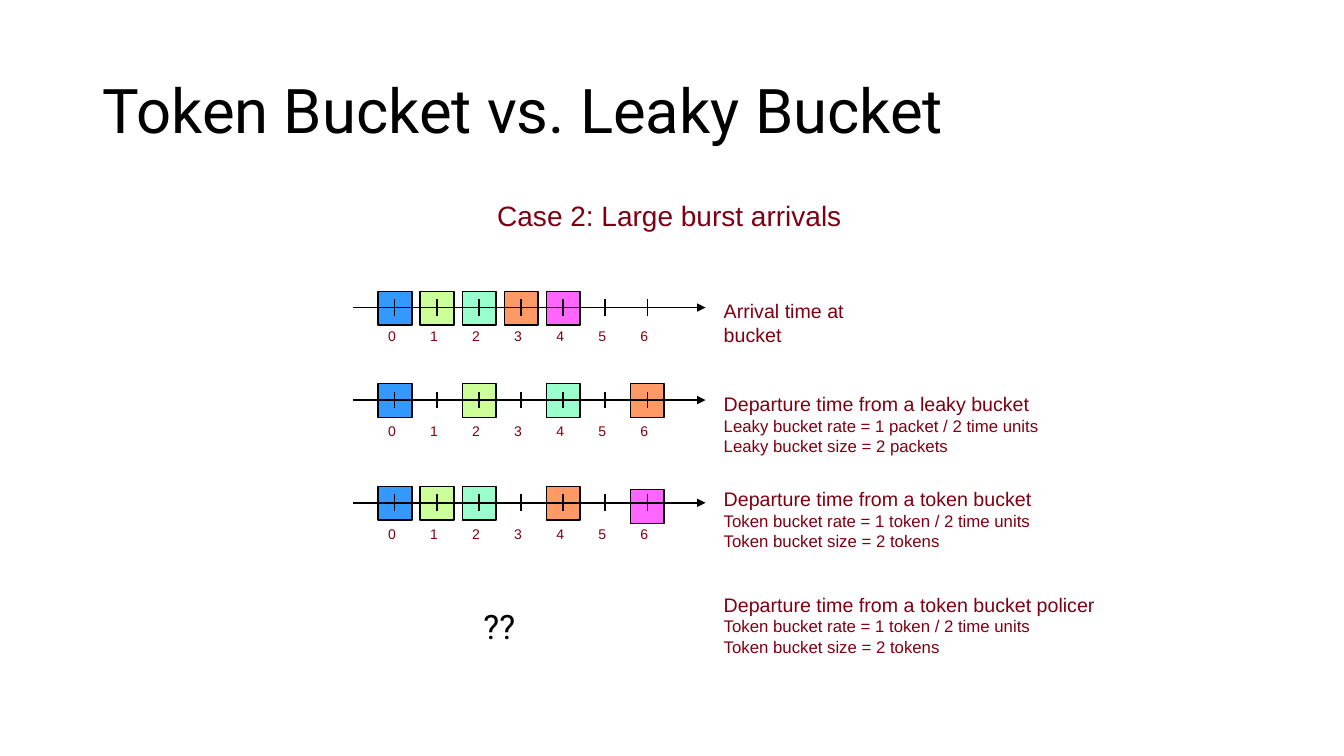
"""Build the slide that compares token bucket and leaky bucket departures."""
from dataclasses import dataclass

from lxml.etree import SubElement
from pptx import Presentation
from pptx.dml.color import RGBColor
from pptx.enum.shapes import MSO_CONNECTOR, MSO_SHAPE
from pptx.enum.text import MSO_ANCHOR, MSO_AUTO_SIZE, PP_ALIGN
from pptx.oxml.ns import qn
from pptx.slide import Slide
from pptx.text.text import TextFrame
from pptx.util import Cm, Pt

BLACK = RGBColor(0x00, 0x00, 0x00)
MAROON = RGBColor(0x7D, 0x00, 0x13)
BLUE = RGBColor(0x33, 0x99, 0xFF)
LIME = RGBColor(0xCC, 0xFF, 0x99)
MINT = RGBColor(0x99, 0xFF, 0xCC)
ORANGE = RGBColor(0xFF, 0x99, 0x66)
MAGENTA = RGBColor(0xFF, 0x66, 0xFF)

AXIS_LEFT, AXIS_RIGHT = 8.89, 17.78
FIRST_TICK, TICK_STEP, TICK_COUNT = 9.95, 1.06, 7
TICK_HALF = 0.21
PACKET_SIZE, PACKET_RISE = 0.85, 0.41
UNIT_LEFT = 9.53
NOTE_LEFT = 17.99


@dataclass(frozen=True)
class Packet:
    """A packet at a time unit, optionally shifted down."""
    time: int
    color: RGBColor
    drop: float = 0


@dataclass(frozen=True)
class Timeline:
    """A time axis with its packets and number row, in centimetres."""
    axis_y: float
    labels_y: float
    packets: tuple[Packet, ...]


@dataclass(frozen=True)
class Note:
    """A heading with detail lines beside a timeline."""
    top: float
    width: float
    height: float
    lines: tuple[str, ...]
    wrap: bool = False


TIMELINES = (
    Timeline(7.75, 8.13, (Packet(0, BLUE), Packet(1, LIME), Packet(2, MINT),
                          Packet(3, ORANGE), Packet(4, MAGENTA))),
    Timeline(10.08, 10.52, (Packet(0, BLUE), Packet(2, LIME),
                            Packet(4, MINT), Packet(6, ORANGE))),
    Timeline(12.67, 13.11, (Packet(0, BLUE), Packet(1, LIME), Packet(2, MINT),
                            Packet(4, ORANGE), Packet(6, MAGENTA, 0.08))),
)
TOKEN_DETAILS = ("Token bucket rate = 1 token / 2 time units",
                 "Token bucket size = 2 tokens")
NOTES = (
    Note(7.42, 4.9, 0.84, ("Arrival time at bucket",), wrap=True),
    Note(9.75, 8.53, 1.88, ("Departure time from a leaky bucket",
                            "Leaky bucket rate = 1 packet / 2 time units",
                            "Leaky bucket size = 2 packets")),
    Note(12.14, 8.31, 1.88,
         ("Departure time from a token bucket", *TOKEN_DETAILS)),
    Note(14.81, 10.8, 1.88,
         ("Departure time from a token bucket policer", *TOKEN_DETAILS),
         wrap=True),
)


def format_text(frame: TextFrame, size: float, font_name: str,
                color: RGBColor) -> None:
    """Give every paragraph the same font."""
    for paragraph in frame.paragraphs:
        font = paragraph.font
        font.size, font.name = Pt(size), font_name
        font.color.rgb = color


def add_text(slide: Slide, text: str, left: float, top: float, width: float,
             height: float, size: float, font_name: str = "Arial",
             color: RGBColor = MAROON, wrap: bool = False) -> TextFrame:
    """Add a formatted text box and return its frame."""
    box = slide.shapes.add_textbox(Cm(left), Cm(top), Cm(width), Cm(height))
    frame = box.text_frame
    frame.text = text
    frame.word_wrap = wrap
    frame.auto_size = MSO_AUTO_SIZE.SHAPE_TO_FIT_TEXT
    format_text(frame, size, font_name, color)
    return frame


def add_line(slide: Slide, start: tuple[float, float],
             end: tuple[float, float], arrow: bool = False) -> None:
    """Draw a thin black line, with an arrowhead if asked."""
    connector = slide.shapes.add_connector(
        MSO_CONNECTOR.STRAIGHT, *map(Cm, start), *map(Cm, end))
    connector.line.color.rgb = BLACK
    connector.line.width = Pt(1)
    properties = connector._element.spPr
    if arrow:
        SubElement(properties.find(qn("a:ln")), qn("a:tailEnd"),
                   type="triangle")
    SubElement(properties, qn("a:effectLst"))


def add_packet(slide: Slide, packet: Packet, axis_y: float) -> None:
    """Draw one packet square on its axis."""
    shape = slide.shapes.add_shape(
        MSO_SHAPE.RECTANGLE, Cm(UNIT_LEFT + packet.time * TICK_STEP),
        Cm(axis_y - PACKET_RISE + packet.drop),
        Cm(PACKET_SIZE), Cm(PACKET_SIZE))
    shape.shadow.inherit = False
    shape.fill.solid()
    shape.fill.fore_color.rgb = packet.color
    shape.line.color.rgb = BLACK
    shape.line.width = Pt(1)


def add_timeline(slide: Slide, timeline: Timeline) -> None:
    """Draw packets, then the axis, ticks and numbers over them."""
    axis_y = timeline.axis_y
    for packet in timeline.packets:
        add_packet(slide, packet, axis_y)
    add_line(slide, (AXIS_LEFT, axis_y), (AXIS_RIGHT, axis_y), arrow=True)
    for time in range(TICK_COUNT):
        tick_x = FIRST_TICK + time * TICK_STEP
        add_line(slide, (tick_x, axis_y - TICK_HALF),
                 (tick_x, axis_y + TICK_HALF))
        add_text(slide, str(time), UNIT_LEFT + time * TICK_STEP,
                 timeline.labels_y, 0.71, 0.69, 10)


def add_note(slide: Slide, note: Note) -> None:
    """Write a note with a larger first line."""
    frame = add_text(slide, "\n".join(note.lines), NOTE_LEFT, note.top,
                     note.width, note.height, 12, wrap=note.wrap)
    frame.paragraphs[0].font.size = Pt(14)


def add_title(slide: Slide) -> None:
    """Place and format the title."""
    title = slide.shapes.title
    title.left, title.top = Cm(2.33), Cm(1.02)
    title.width, title.height = Cm(29.21), Cm(3.68)
    frame = title.text_frame
    frame.text = "Token Bucket vs. Leaky Bucket"
    frame.vertical_anchor = MSO_ANCHOR.MIDDLE
    frame.auto_size = MSO_AUTO_SIZE.NONE
    frame.paragraphs[0].alignment = PP_ALIGN.LEFT
    frame.paragraphs[0].line_spacing = 0.9
    format_text(frame, 44, "Roboto", BLACK)


def main() -> None:
    """Build and save the presentation."""
    presentation = Presentation()
    presentation.slide_width, presentation.slide_height = Cm(33.87), Cm(19.05)
    slide = presentation.slides.add_slide(presentation.slide_layouts[5])
    add_title(slide)
    add_text(slide, "Case 2: Large burst arrivals", 12.28, 4.88, 9.25, 1.12, 20)
    for timeline in TIMELINES:
        add_timeline(slide, timeline)
    for note in NOTES:
        add_note(slide, note)
    question = add_text(slide, "??", 10.36, 15.14, 4.45, 1.27, 24, "Roboto",
                        BLACK, wrap=True)
    question.paragraphs[0].alignment = PP_ALIGN.CENTER
    presentation.save("out.pptx")


if __name__ == "__main__":
    main()
